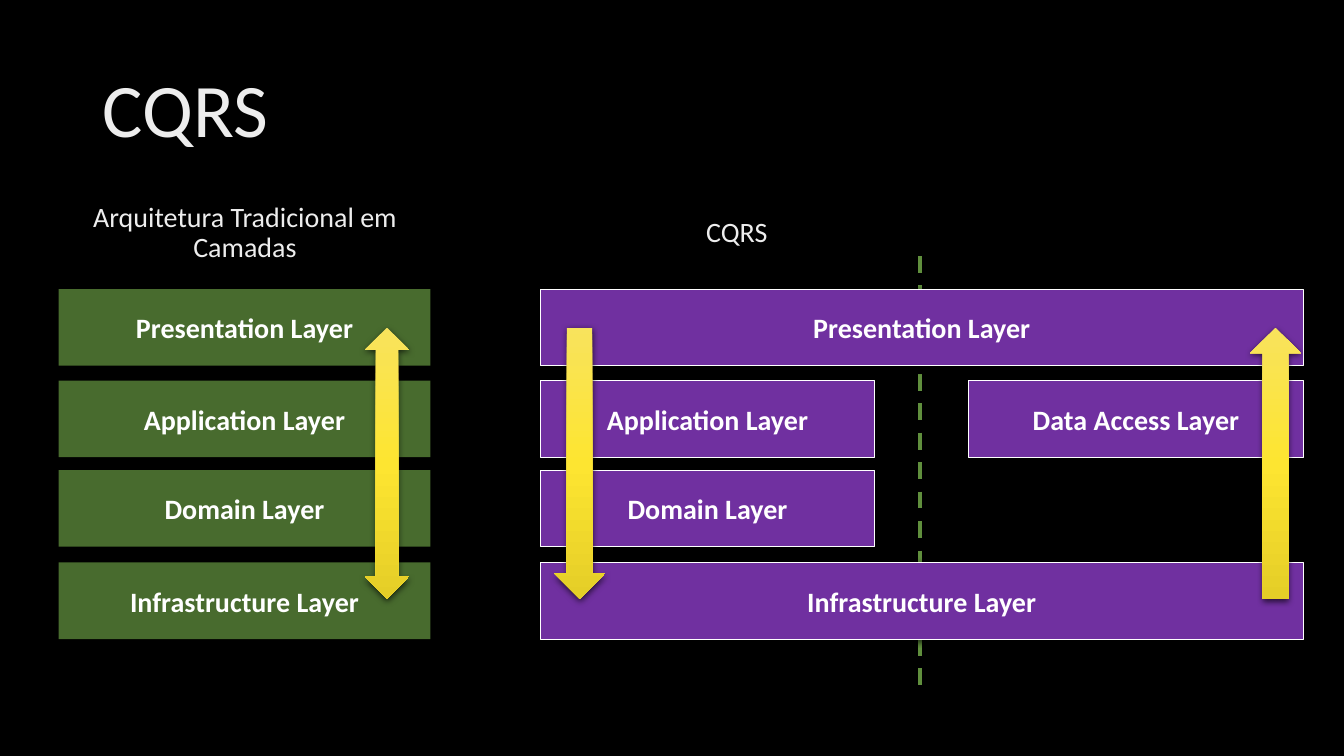
from lxml.etree import SubElement
from pptx import Presentation
from pptx.dml.color import RGBColor
from pptx.enum.dml import MSO_LINE as Dash
from pptx.enum.shapes import MSO_CONNECTOR as Connector, MSO_SHAPE as Shape
from pptx.enum.text import MSO_ANCHOR as Anchor, MSO_AUTO_SIZE as AutoSize, PP_ALIGN as Align
from pptx.oxml.ns import qn
from pptx.util import Pt

TITLE = ("CQRS", (66.2, 28.8, 828, 104.4))
HEADINGS = [
    ("Arquitetura Tradicional em Camadas", (28.1, 135.2, 293.8, 63.4)),
    ("CQRS", (379.4, 134.8, 293.8, 63.4)),
]
ROW_TOPS = [206.6, 271.8, 335.8, 401.8]
ROW_HEIGHT = 54.7
COLUMNS = {
    "traditional": (41.8, 265.7),
    "full": (385.9, 545),
    "command": (385.9, 239),
    "query": (691.9, 239),
}
LAYERS = [
    ("Presentation Layer", "traditional", 0),
    ("Application Layer", "traditional", 1),
    ("Domain Layer", "traditional", 2),
    ("Infrastructure Layer", "traditional", 3),
    ("Presentation Layer", "full", 0),
    ("Application Layer", "command", 1),
    ("Data Access Layer", "query", 1),
    ("Domain Layer", "command", 2),
    ("Infrastructure Layer", "full", 3),
]
ARROWS = [
    (Shape.UP_DOWN_ARROW, 260.6, 31.7),
    (Shape.UP_ARROW, 892.8, 36.7),
    (Shape.DOWN_ARROW, 396, 36),
]
ARROW_TOP, ARROW_HEIGHT = 234, 193.7
DIVIDER = (657.4, 182.9, 657.4, 491)

GREEN, PURPLE, WHITE, BLACK = "486B2E", "7030A0", "FFFFFF", "000000"
DIVIDER_GREEN = "608F3D"
YELLOWS = [(0, "F8E35C"), (50, "FDE531"), (100, "E5CE27")]
SILVERS = [(0, "BFBFBF"), (28, "EDEDED"), (100, "FFFFFF")]
LAYER_FONT = {"name": "Calibri", "size": Pt(20), "bold": True}
HEADING_FONT = {"name": "Calibri", "size": Pt(20), "bold": False}
TITLE_FONT = {"name": "Calibri", "size": Pt(54), "bold": False}
FRAME = {"word_wrap": True, "auto_size": AutoSize.NONE, "vertical_anchor": Anchor.MIDDLE}
SHADOW = {"blurRad": Pt(4.5), "dist": Pt(1.5), "dir": 90 * 60000, "algn": "ctr", "rotWithShape": 0}


def color(value):
    return RGBColor.from_string(value)


def apply(target, values):
    for key, value in values.items():
        setattr(target, key, value)


def paint_gradient(fill, owner, stops, angle):
    fill.gradient()
    fill.gradient_angle = 360 - angle
    stop_list = next(owner.iter(qn("a:gsLst")))
    for old_stop in list(stop_list):
        stop_list.remove(old_stop)
    for percent, value in stops:
        stop = SubElement(stop_list, qn("a:gs"), pos=str(percent * 1000))
        SubElement(stop, qn("a:srgbClr"), val=value)


def cast_shadow(shape):
    shape.shadow.inherit = False
    effects = next(shape.element.iter(qn("a:effectLst")))
    shadow = SubElement(effects, qn("a:outerShdw"), {k: str(v) for k, v in SHADOW.items()})
    tint = SubElement(shadow, qn("a:srgbClr"), val=BLACK)
    SubElement(tint, qn("a:alpha"), val="63000")


def write(shape, text, font, paragraph_format):
    apply(shape.text_frame, FRAME)
    paragraph = shape.text_frame.paragraphs[0]
    apply(paragraph, paragraph_format)
    run = paragraph.add_run()
    run.text = text
    apply(run.font, font)
    return run


def write_silver(shape, text, font, align):
    run = write(shape, text, font, {"alignment": align, "line_spacing": 0.9})
    paint_gradient(run.font.fill, run._r, SILVERS, 80)


def add_divider(slide):
    divider = slide.shapes.add_connector(Connector.STRAIGHT, *map(Pt, DIVIDER))
    apply(divider.line, {"width": Pt(3), "dash_style": Dash.DASH})
    divider.line.color.rgb = color(DIVIDER_GREEN)
    SubElement(divider.element.spPr, qn("a:effectLst"))


def add_layer(slide, text, column, row):
    left, width = COLUMNS[column]
    box = (left, ROW_TOPS[row], width, ROW_HEIGHT)
    layer = slide.shapes.add_shape(Shape.RECTANGLE, *map(Pt, box))
    layer.fill.solid()
    if column == "traditional":
        layer.fill.fore_color.rgb = color(GREEN)
        layer.line.fill.background()
    else:
        layer.fill.fore_color.rgb = color(PURPLE)
        layer.line.color.rgb = color(WHITE)
        layer.line.width = Pt(0.75)
    cast_shadow(layer)
    label = write(layer, text, LAYER_FONT, {"alignment": Align.CENTER})
    label.font.color.rgb = color(WHITE)


def add_arrow(slide, kind, left, width):
    box = (left, ARROW_TOP, width, ARROW_HEIGHT)
    arrow = slide.shapes.add_shape(kind, *map(Pt, box))
    paint_gradient(arrow.fill, arrow.element, YELLOWS, 90)
    arrow.line.fill.background()
    cast_shadow(arrow)


def main():
    deck = Presentation()
    apply(deck, {"slide_width": Pt(960), "slide_height": Pt(540)})
    slide = deck.slides.add_slide(deck.slide_layouts[5])
    slide.background.fill.solid()
    slide.background.fill.fore_color.rgb = color(BLACK)

    title_text, title_box = TITLE
    title = slide.shapes.title
    apply(title, dict(zip(("left", "top", "width", "height"), map(Pt, title_box))))
    write_silver(title, title_text, TITLE_FONT, Align.LEFT)

    add_divider(slide)
    for text, box in HEADINGS:
        heading = slide.shapes.add_textbox(*map(Pt, box))
        write_silver(heading, text, HEADING_FONT, Align.CENTER)
    for layer in LAYERS:
        add_layer(slide, *layer)
    for arrow in ARROWS:
        add_arrow(slide, *arrow)

    deck.save("out.pptx")


if __name__ == "__main__":
    main()
